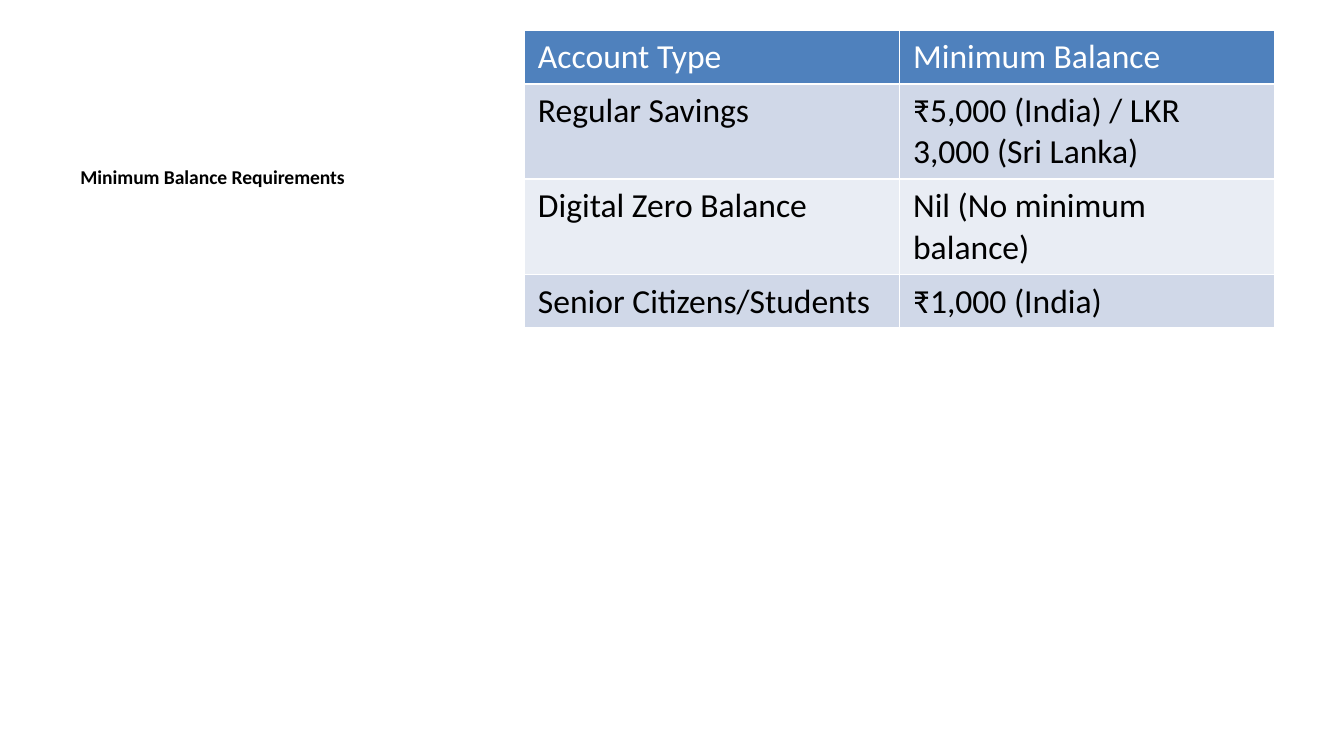
"""Build the minimum balance requirements slide."""
from dataclasses import dataclass

from pptx import Presentation
from pptx.dml.color import RGBColor
from pptx.util import Pt


@dataclass(frozen=True)
class Theme:
    font: str = "Calibri"
    heading_size: float = 10.5
    table_size: float = 18
    ink: str = "000000"
    header_ink: str = "FFFFFF"
    header_fill: str = "4F81BD"
    band_fills: tuple[str, str] = ("D0D8E8", "E9EDF4")


@dataclass(frozen=True)
class BalanceRow:
    account: str
    balance: str
    height: float


THEME = Theme()
BALANCE_ROWS = (
    BalanceRow("Account Type", "Minimum Balance", 28.8),
    BalanceRow("Regular Savings", "₹5,000 (India) / LKR 3,000 (Sri Lanka)", 51),
    BalanceRow("Digital Zero Balance", "Nil (No minimum balance)", 51),
    BalanceRow("Senior Citizens/Students", "₹1,000 (India)", 28.8),
)


def write(frame, text: str, *, size: float, color: str, bold: bool = False) -> None:
    frame.word_wrap = True
    run = frame.paragraphs[0].add_run()
    run.text = text
    run.font.name = THEME.font
    run.font.size = Pt(size)
    run.font.bold = bold
    run.font.color.rgb = RGBColor.from_string(color)


def draw_heading(slide) -> None:
    heading = slide.shapes.add_textbox(Pt(36), Pt(85), Pt(237), Pt(277))
    write(heading.text_frame, "Minimum Balance Requirements",
          size=THEME.heading_size, color=THEME.ink, bold=True)


def draw_balances(slide, rows: tuple[BalanceRow, ...]) -> None:
    total_height = sum(row.height for row in rows)
    balances = slide.shapes.add_table(
        len(rows), 2, Pt(281), Pt(16.2), Pt(402), Pt(total_height)).table
    for index, row in enumerate(rows):
        balances.rows[index].height = Pt(row.height)
        is_header = index == 0
        fill = THEME.header_fill if is_header else THEME.band_fills[(index - 1) % 2]
        ink = THEME.header_ink if is_header else THEME.ink
        for column, text in enumerate((row.account, row.balance)):
            cell = balances.cell(index, column)
            cell.fill.solid()
            cell.fill.fore_color.rgb = RGBColor.from_string(fill)
            write(cell.text_frame, text, size=THEME.table_size, color=ink)


def main() -> None:
    deck = Presentation()
    deck.slide_width, deck.slide_height = Pt(720), Pt(405)
    slide = deck.slides.add_slide(deck.slide_layouts[6])
    draw_heading(slide)
    draw_balances(slide, BALANCE_ROWS)
    deck.save("out.pptx")


if __name__ == "__main__":
    main()
